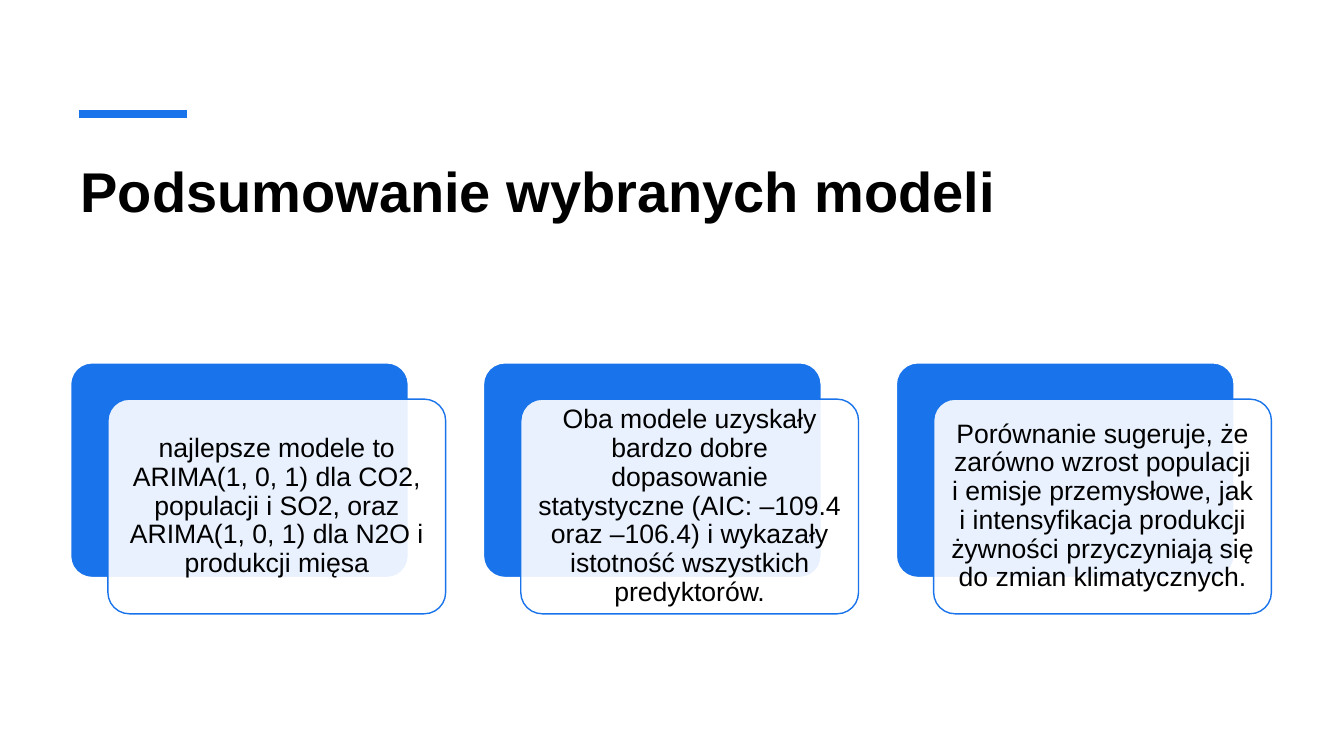
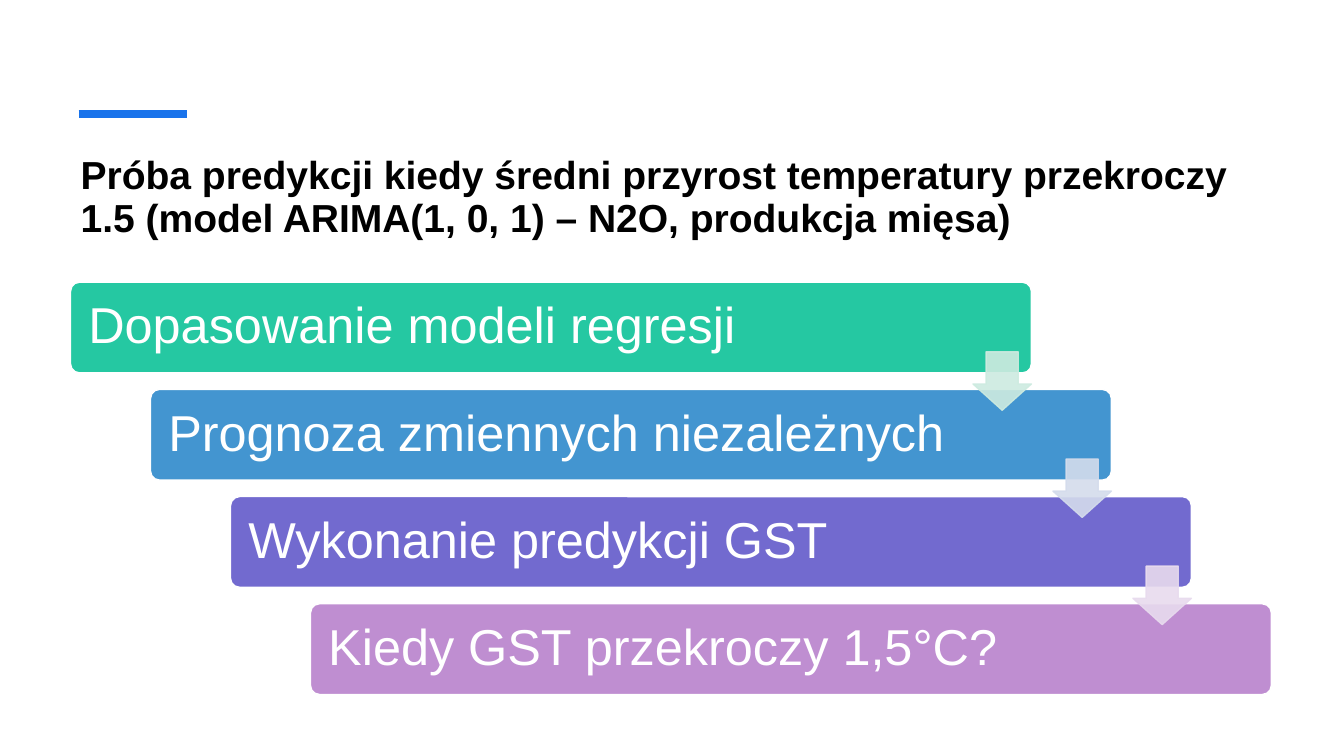
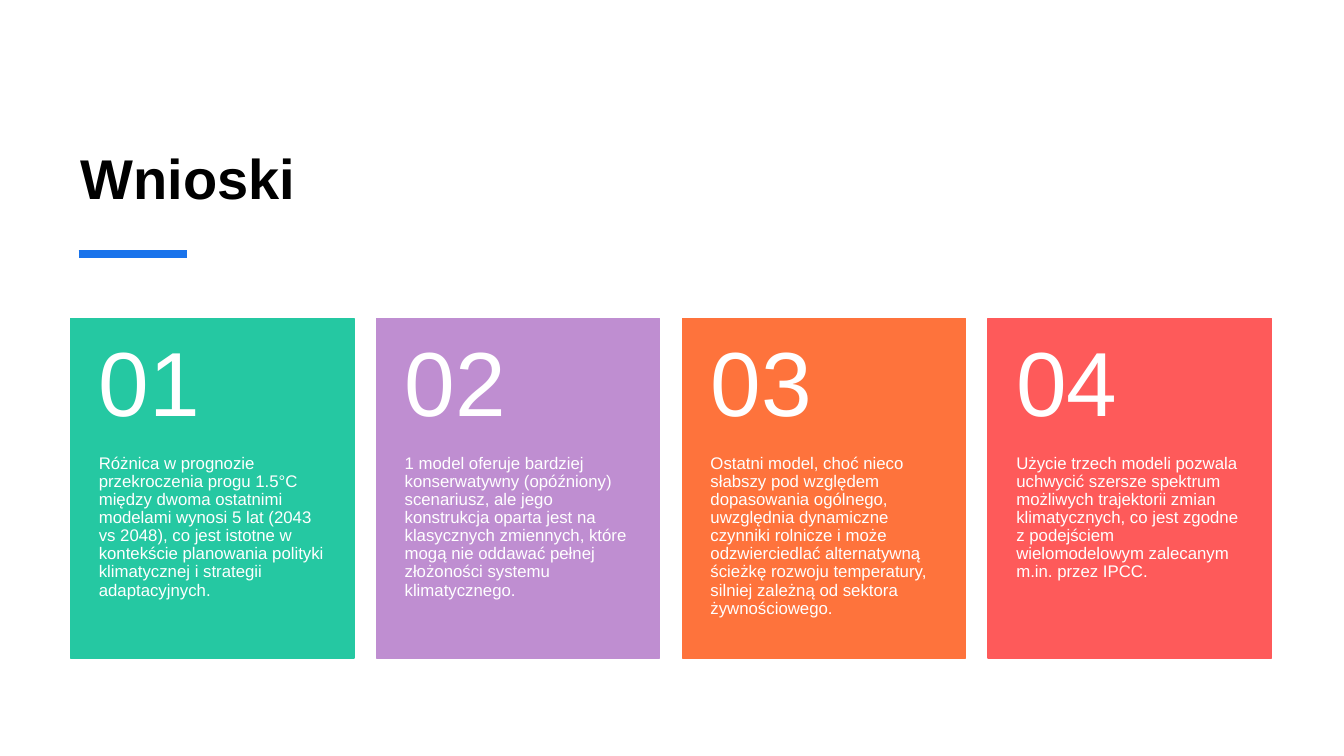
from dataclasses import dataclass

from lxml import etree
from pptx import Presentation
from pptx.dml.color import RGBColor
from pptx.enum import shapes as kinds, text as t
from pptx.oxml import ns
from pptx.util import Inches, Pt


@dataclass(frozen=True)
class Theme:
    font: str = "Arial"
    blue: str = "1973EB"
    black: str = "000000"
    white: str = "FFFFFF"
    green: str = "25C8A2"
    sky: str = "4395D0"
    violet: str = "726ACF"
    lilac: str = "BF8ED1"
    orange: str = "FE733C"
    coral: str = "FE5A5A"
    mint: str = "CDEBE0"
    mist: str = "D4DCEC"
    blush: str = "E8DBEE"
    head: float = 40
    long_head: float = 27.9
    model: float = 19
    step: float = 36
    number: float = 65
    body: float = 12
    left: float = 0.7
    width: float = 11.91


T = Theme()
KIND = kinds.MSO_SHAPE
TOP, MID, LOW = t.MSO_ANCHOR.TOP, t.MSO_ANCHOR.MIDDLE, t.MSO_ANCHOR.BOTTOM
LEFT, MIDST = t.PP_ALIGN.LEFT, t.PP_ALIGN.CENTER

MODELS = [
    "najlepsze modele to ARIMA(1, 0, 1) dla CO2, populacji i SO2, oraz "
    "ARIMA(1, 0, 1) dla N2O i produkcji mięsa",
    "Oba modele uzyskały bardzo dobre dopasowanie statystyczne (AIC: –109.4 "
    "oraz –106.4) i wykazały istotność wszystkich predyktorów.",
    "Porównanie sugeruje, że zarówno wzrost populacji i emisje przemysłowe, jak "
    "i intensyfikacja produkcji żywności przyczyniają się do zmian klimatycznych.",
]
STEPS = [
    ("Dopasowanie modeli regresji", T.green),
    ("Prognoza zmiennych niezależnych", T.sky),
    ("Wykonanie predykcji GST", T.violet),
    ("Kiedy GST przekroczy 1,5°C?", T.lilac),
]
ARROWS = [T.mint, T.mist, T.blush]
FINDINGS = [
    ("Różnica w prognozie przekroczenia progu 1.5°C między dwoma ostatnimi "
     "modelami wynosi 5 lat (2043 vs 2048), co jest istotne w kontekście "
     "planowania polityki klimatycznej i strategii adaptacyjnych.", T.green),
    ("1 model oferuje bardziej konserwatywny (opóźniony) scenariusz, ale jego "
     "konstrukcja oparta jest na klasycznych zmiennych, które mogą nie oddawać "
     "pełnej złożoności systemu klimatycznego.", T.lilac),
    ("Ostatni model, choć nieco słabszy pod względem dopasowania ogólnego, "
     "uwzględnia dynamiczne czynniki rolnicze i może odzwierciedlać "
     "alternatywną ścieżkę rozwoju temperatury, silniej zależną od sektora "
     "żywnościowego.", T.orange),
    ("Użycie trzech modeli pozwala uchwycić szersze spektrum możliwych "
     "trajektorii zmian klimatycznych, co jest zgodne z podejściem "
     "wielomodelowym zalecanym m.in. przez IPCC.", T.coral),
]


def rgb(code):
    return RGBColor.from_string(code)


def spread(count, width):
    """Left edges of equal columns that span the content width."""
    pitch = (T.width - width) / (count - 1)
    return [T.left + i * pitch for i in range(count)]


def fade(fill, percent):
    color = fill._xPr.find(".//" + ns.qn("a:srgbClr"))
    etree.SubElement(color, ns.qn("a:alpha"), val=str(percent * 1000))


def write(shape, words, size, color, inset, anchor=MID, align=LEFT,
          lead=0.9, bold=False):
    """Set one paragraph; inset is left, top, right, bottom."""
    frame = shape.text_frame
    frame.text = words
    frame.word_wrap = True
    frame.auto_size = t.MSO_AUTO_SIZE.NONE
    frame.vertical_anchor = anchor
    (frame.margin_left, frame.margin_top,
     frame.margin_right, frame.margin_bottom) = map(Inches, inset)
    para = frame.paragraphs[0]
    para.alignment = align
    para.line_spacing = lead
    para.font.name, para.font.size = T.font, Pt(size)
    para.font.bold = bold
    para.font.color.rgb = rgb(color)


def block(slide, kind, box, fill, line, adjust=(), alpha=None):
    shape = slide.shapes.add_shape(kind, *map(Inches, box))
    shape.shadow.inherit = False
    shape.fill.solid()
    shape.fill.fore_color.rgb = rgb(fill)
    shape.line.color.rgb = rgb(line)
    shape.line.width = Pt(1)
    for i, value in enumerate(adjust):
        shape.adjustments[i] = value
    if alpha:
        fade(shape.fill, alpha)
    return shape


def label(slide, box, *args, **style):
    write(slide.shapes.add_textbox(*map(Inches, box)), *args, **style)


def start(deck, words, size=T.head, lead=1, top=1.5, high=1.2,
          anchor=TOP, rule=1.13):
    """Add a slide with its title and the short blue rule."""
    slide = deck.slides.add_slide(deck.slide_layouts[5])
    title = slide.shapes.title
    title.left, title.top, title.width, title.height = map(
        Inches, (T.left, top, T.width, high))
    write(title, words, size, T.black, (0.1, 0.05, 0.1, 0.05), anchor,
          lead=lead, bold=True)
    line = slide.shapes.add_connector(
        kinds.MSO_CONNECTOR.STRAIGHT,
        *map(Inches, (0.78, rule, 1.85, rule)))
    line.line.color.rgb = rgb(T.blue)
    line.line.width = Pt(6)
    etree.SubElement(line._element.spPr, ns.qn("a:effectLst"))
    return slide


def add_models(deck):
    slide = start(deck, "Podsumowanie wybranych modeli")
    wide, high, shift = 3.35, 2.13, 0.37
    for left, words in zip(spread(len(MODELS), wide + shift), MODELS):
        block(slide, KIND.ROUNDED_RECTANGLE, (left, 3.6, wide, high),
              T.blue, T.white, [0.1])
        card = block(slide, KIND.ROUNDED_RECTANGLE,
                     (left + shift, 3.96, wide, high),
                     T.white, T.blue, [0.1], alpha=90)
        write(card, words, T.model, T.black, [0.08] * 4, align=MIDST)


def add_steps(deck):
    slide = start(
        deck, "Próba predykcji kiedy średni przyrost temperatury przekroczy "
        "1.5 (model ARIMA(1, 0, 1) – N2O, produkcja mięsa)",
        T.long_head, 0.9)
    wide, side = 9.53, 0.58
    lefts = spread(len(STEPS), wide)
    tops = [2.8 + 3.19 / 3 * i for i in range(len(STEPS))]
    for left, top, (words, color) in zip(lefts, tops, STEPS):
        bar = block(slide, KIND.ROUNDED_RECTANGLE, (left, top, wide, 0.9),
                    color, T.white, [0.1])
        write(bar, words, T.step, T.white, [0.15] * 4)
    for left, top, color in zip(lefts, tops, ARROWS):
        arrow = block(slide, KIND.DOWN_ARROW,
                      (left + wide - side, top + 0.69, side, side),
                      color, color, [0.55, 0.45], alpha=90)
        fade(arrow.line.fill, 90)


def add_findings(deck):
    slide = start(deck, "Wnioski", top=0.62, high=1.52, anchor=LOW, rule=2.52)
    wide, top, high, split = 2.81, 3.16, 3.37, 1.35
    lefts = spread(len(FINDINGS), wide)
    for i, (left, (words, color)) in enumerate(zip(lefts, FINDINGS), 1):
        block(slide, KIND.RECTANGLE, (left, top, wide, high), color, color)
        label(slide, (left, top + split, wide, high - split), words,
              T.body, T.white, (0.28, 0, 0.28, 0.36), anchor=TOP)
        label(slide, (left, top, wide, split), f"{i:02}",
              T.number, T.white, (0.28, 0.18, 0.28, 0.18))


def main():
    deck = Presentation()
    deck.slide_width, deck.slide_height = Inches(13.33), Inches(7.5)
    add_models(deck)
    add_steps(deck)
    add_findings(deck)
    deck.save("out.pptx")


if __name__ == "__main__":
    main()
